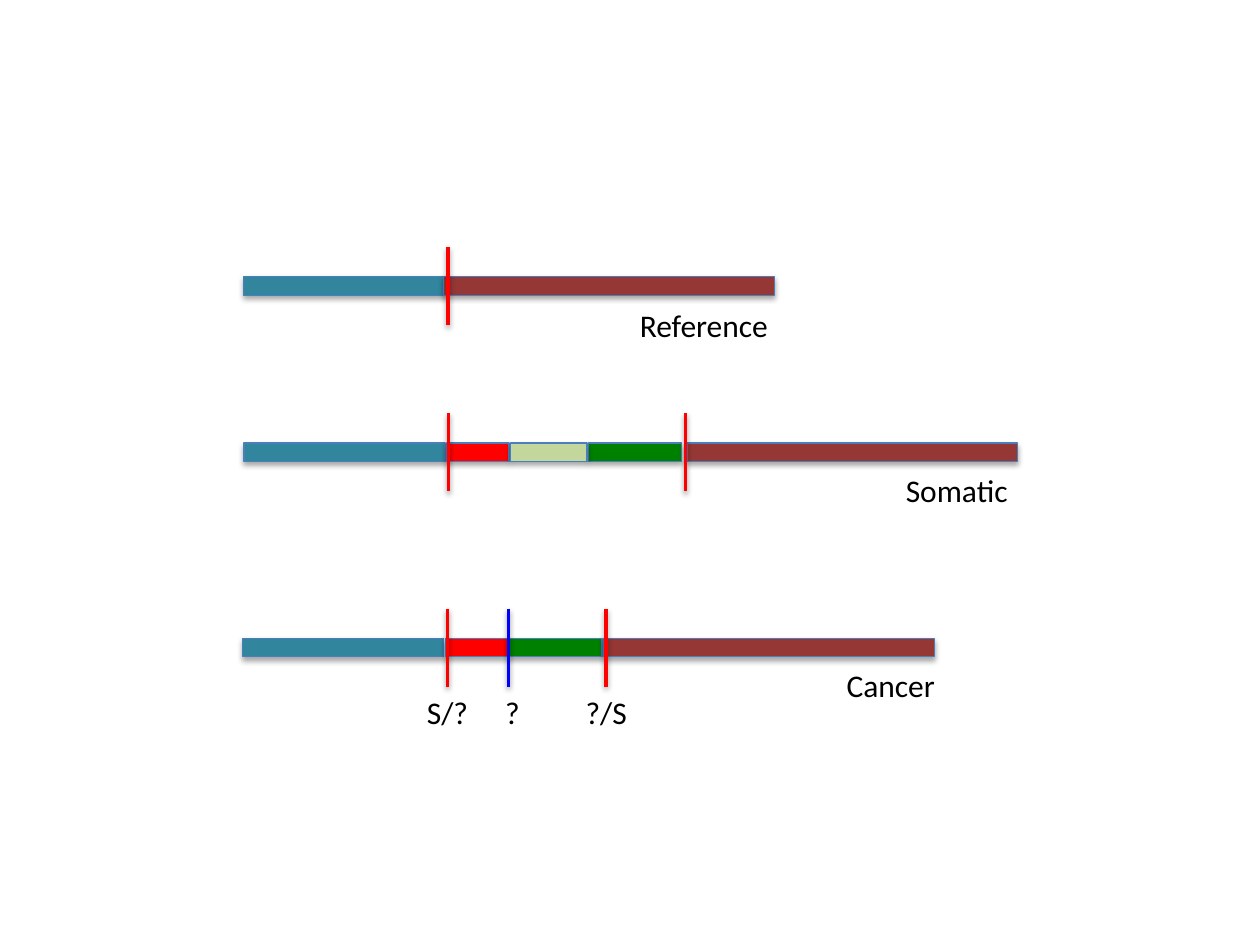
from dataclasses import dataclass

from pptx import Presentation
from pptx.dml.color import RGBColor as Rgb
from pptx.enum.shapes import MSO_CONNECTOR as Connector, MSO_SHAPE as Shape
from pptx.enum.text import MSO_AUTO_SIZE as AutoSize
from pptx.util import Inches, Pt


@dataclass(frozen=True)
class Theme:
    left_arm: str = "31859C"
    right_arm: str = "953735"
    head: str = "FF0000"
    middle: str = "C3D69B"
    tail: str = "008000"
    outline: str = "4B7EBC"
    breakpoint: str = "FF0000"
    junction: str = "0000FF"
    text: str = "000000"
    font: str = "Calibri"
    text_size: float = 18
    outline_width: float = 0.75
    cut_width: float = 2


SEGMENT_COLUMNS = {"left_arm": 21.7, "right_arm": 35.7, "head": 6.7, "middle": 8.3, "tail": 10}
TRACK_ROWS = 6.2
LABEL_ROWS = 4

TRACKS = [
    {
        "row": 19.6,
        "segments": [("left_arm", 16.45), ("right_arm", 30.5)],
        "cuts": [("breakpoint", 35.55)],
        "labels": [("Reference", 49.8, 4.2, 12.3)],
    },
    {
        "row": 32.8,
        "segments": [("left_arm", 16.5), ("head", 34.6), ("tail", 45.4),
                     ("right_arm", 49.8), ("middle", 39.4)],
        "cuts": [("breakpoint", 54.4), ("breakpoint", 35.6)],
        "labels": [("Somatic", 70.9, 4.1, 10.2)],
    },
    {
        "row": 48.3,
        "segments": [("left_arm", 16.4), ("head", 34.5), ("tail", 39.1), ("right_arm", 43.2)],
        "cuts": [("breakpoint", 35.5), ("breakpoint", 48.1), ("junction", 40.35)],
        "labels": [("S/?", 32.9, 6.2, 5.3), ("?/S", 45.5, 6.2, 5.3),
                   ("?", 39.1, 6.2, 3.2), ("Cancer", 66.2, 4.1, 9.1)],
    },
]


def apply_format(target, values):
    for attribute, value in values.items():
        setattr(target, attribute, value)


class Diagram:
    columns, rows = 100, 75

    def __init__(self, deck, theme):
        self.theme = theme
        self.column = deck.slide_width / self.columns
        self.row = deck.slide_height / self.rows
        self.slide = deck.slides.add_slide(deck.slide_layouts[6])

    def place(self, left, top, width, height):
        return (round(left * self.column), round(top * self.row),
                round(width * self.column), round(height * self.row))

    def color(self, role):
        return Rgb.from_string(getattr(self.theme, role))

    def stroke(self, line, role, width):
        line.color.rgb = self.color(role)
        line.width = Pt(width)

    def segment(self, role, left, top):
        box = self.place(left, top, SEGMENT_COLUMNS[role], TRACK_ROWS)
        bar = self.slide.shapes.add_shape(Shape.MATH_MINUS, *box)
        bar.fill.solid()
        bar.fill.fore_color.rgb = self.color(role)
        self.stroke(bar.line, "outline", self.theme.outline_width)

    def cut(self, role, column, top):
        x, y, _, height = self.place(column, top, 0, TRACK_ROWS)
        mark = self.slide.shapes.add_connector(Connector.STRAIGHT, x, y, x, y + height)
        self.stroke(mark.line, role, self.theme.cut_width)

    def label(self, words, left, top, width):
        box = self.place(left, top, width, LABEL_ROWS)
        frame = self.slide.shapes.add_textbox(*box).text_frame
        apply_format(frame, {"word_wrap": False, "auto_size": AutoSize.SHAPE_TO_FIT_TEXT})
        run = frame.paragraphs[0].add_run()
        run.text = words
        apply_format(run.font, {"name": self.theme.font, "size": Pt(self.theme.text_size)})
        run.font.color.rgb = self.color("text")

    def track(self, row, segments, cuts, labels):
        for role, left in segments:
            self.segment(role, left, row)
        for role, column in cuts:
            self.cut(role, column, row)
        for words, left, drop, width in labels:
            self.label(words, left, row + drop, width)


def main():
    deck = Presentation()
    apply_format(deck, {"slide_width": Inches(10), "slide_height": Inches(7.5)})
    diagram = Diagram(deck, Theme())
    for track in TRACKS:
        diagram.track(**track)
    deck.save("out.pptx")


if __name__ == "__main__":
    main()
